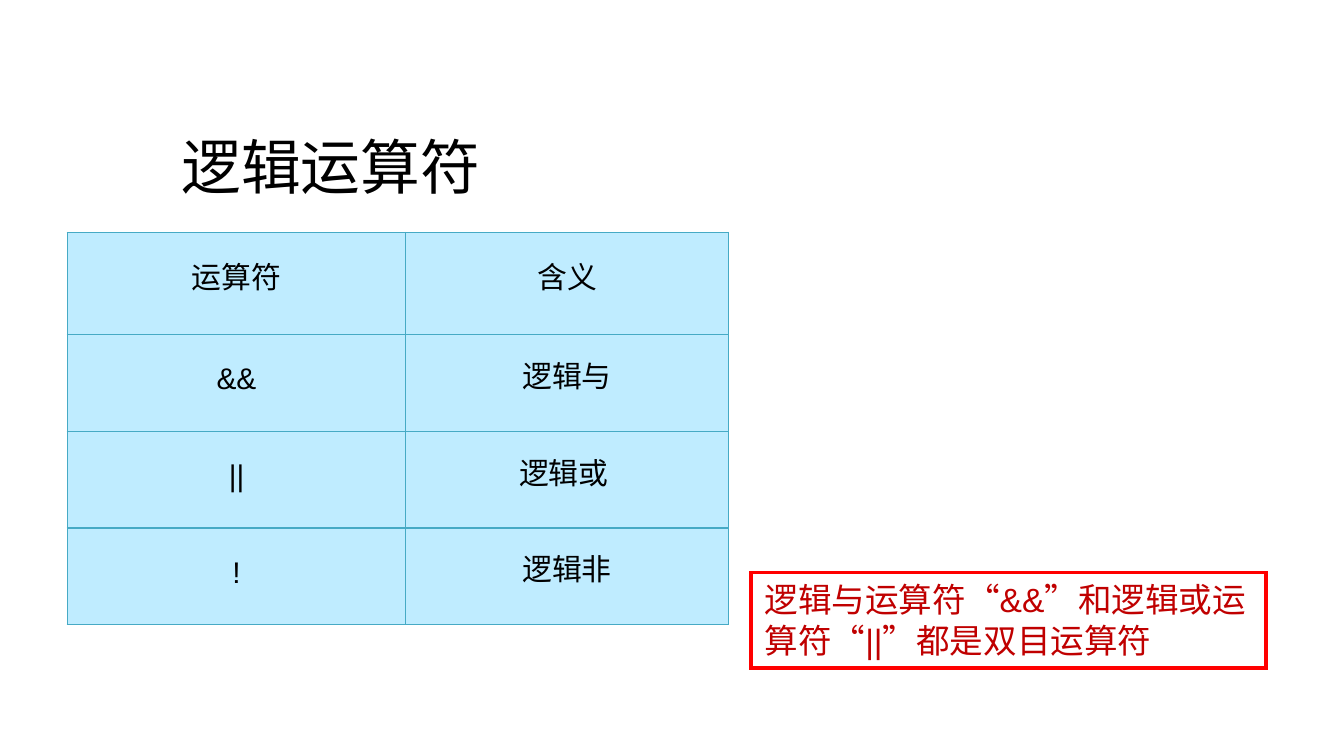
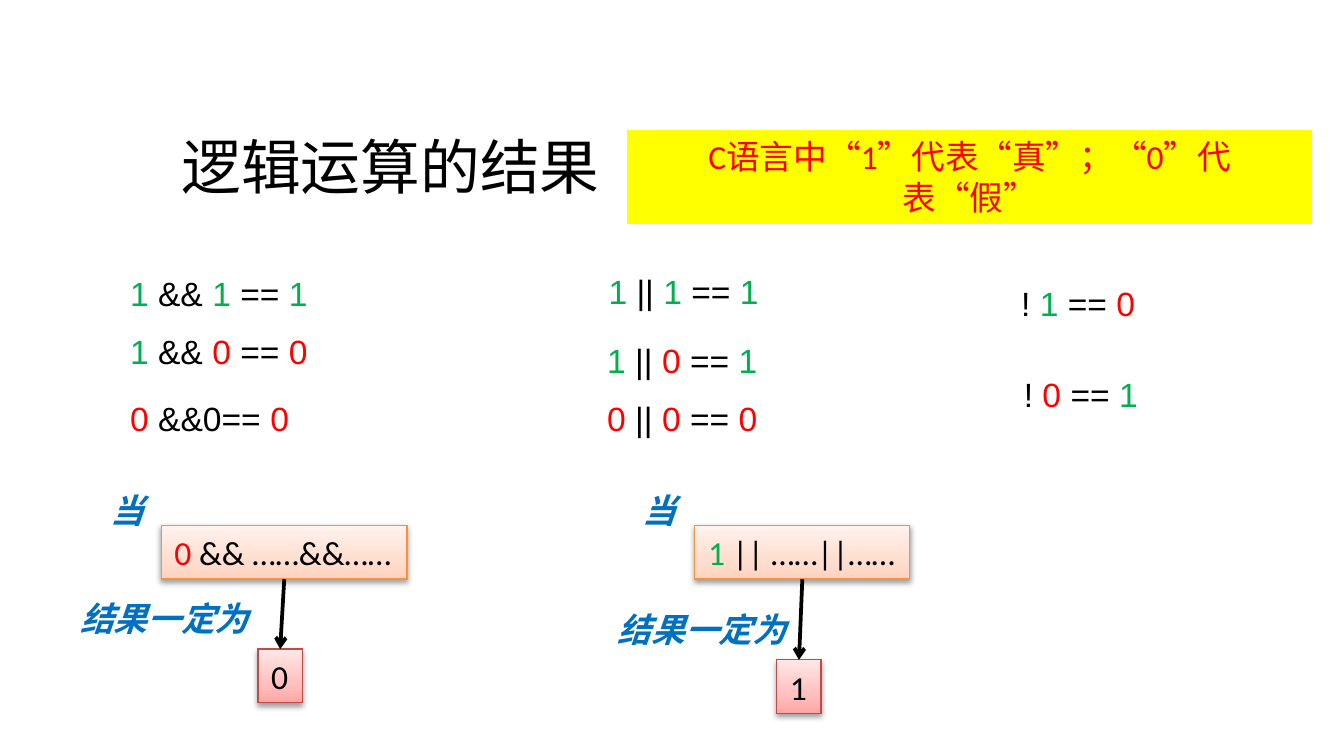
"""Build two slides on logical operators and their results."""
from dataclasses import dataclass

from lxml import etree
from pptx import Presentation
from pptx.dml.color import RGBColor
from pptx.enum.shapes import MSO_CONNECTOR, MSO_SHAPE
from pptx.enum.text import MSO_ANCHOR, MSO_AUTO_SIZE, PP_ALIGN
from pptx.oxml.ns import qn
from pptx.util import Inches, Pt

RECTANGLE, STRAIGHT = MSO_SHAPE.RECTANGLE, MSO_CONNECTOR.STRAIGHT
LEFT, CENTER = PP_ALIGN.LEFT, PP_ALIGN.CENTER
TOP, MIDDLE = MSO_ANCHOR.TOP, MSO_ANCHOR.MIDDLE
FIT_SHAPE, FIT_NONE = MSO_AUTO_SIZE.SHAPE_TO_FIT_TEXT, MSO_AUTO_SIZE.NONE

COLORS = {
    "text": "000000", "true": "00B050", "false": "FF0000", "remark": "C00000",
    "label": "0070C0", "banner": "FFFF00", "cell": "BFECFF", "grid": "46AAC5",
    "premise": "F69240", "result": "BF4C48",
}
GRADIENTS = {
    "premise": ((0, "FFD2BD"), (35, "FFDED0"), (100, "FFF2ED")),
    "result": ((0, "FFA6A5"), (35, "FFC0BF"), (100, "FFE7E7")),
}
LATIN, SANS, CHINESE = "Calibri", "Arial", "Noto Sans CJK SC"
TITLE_ONLY = 5
LINE_HEIGHT = 0.4
PREMISE_TOP = 3.91
WHEN_TOP = 3.6
RESULT_WIDTH = 0.33


@dataclass(frozen=True)
class Span:
    text: str
    color: str = "text"


@dataclass(frozen=True)
class Area:
    left: float
    top: float
    width: float
    height: float = LINE_HEIGHT

    @property
    def lengths(self) -> tuple:
        """Give the four lengths that python-pptx expects."""
        return tuple(Inches(n) for n in (self.left, self.top, self.width, self.height))


@dataclass(frozen=True)
class Expression:
    area: Area
    spans: tuple


@dataclass(frozen=True)
class Deduction:
    premise_left: float
    premise_width: float
    premise: tuple
    when_left: float
    note_left: float
    note_top: float
    result_left: float
    result_top: float
    result: str


ONE, ZERO = Span("1", "true"), Span("0", "false")
AND, OR, EQUALS = Span(" && "), Span(" || "), Span(" == ")

OPERATORS = (
    ("运算符", "含义"), ("&&", "逻辑与"), ("||", "逻辑或 "), ("!", "逻辑非"),
)
EXPRESSIONS = (
    Expression(Area(0.87, 1.98, 1.6), (ONE, AND, ONE, EQUALS, ONE)),
    Expression(Area(0.87, 2.41, 1.53), (ONE, AND, ZERO, EQUALS, ZERO)),
    Expression(Area(0.87, 2.91, 1.39), (ZERO, Span(" &&0== "), ZERO)),
    Expression(Area(4.43, 1.97, 1.4), (ONE, OR, ONE, EQUALS, ONE)),
    Expression(Area(4.42, 2.48, 1.4), (ONE, OR, ZERO, EQUALS, ONE)),
    Expression(Area(4.42, 2.91, 1.4), (ZERO, OR, ZERO, EQUALS, ZERO)),
    Expression(Area(7.5, 2.06, 1.13), (Span("! "), ONE, EQUALS, ZERO)),
    Expression(Area(7.52, 2.73, 1.13), (Span("!"), Span(" 0", "false"), EQUALS, ONE)),
)
DEDUCTIONS = (
    Deduction(1.2, 1.83, (ZERO, Span(" && ……&&……")), 0.72, 0.5, 4.4, 1.92, 4.83, "0"),
    Deduction(5.17, 1.6, (ONE, Span(" || ……||……")), 4.68, 4.5, 4.48, 5.78, 4.91, "1"),
)


def rgb(name: str) -> RGBColor:
    """Look up a named colour."""
    return RGBColor.from_string(COLORS[name])


def add_node(parent, tag: str, **attributes):
    """Append an XML element with the given attributes."""
    return etree.SubElement(parent, qn(tag), attributes)


def add_color(parent, code: str):
    """Append a solid RGB colour element."""
    return add_node(parent, "a:srgbClr", val=code)


def write(frame, spans: tuple, font: str, size: float = 18, align=LEFT):
    """Write coloured spans into the first paragraph of a text frame."""
    para = frame.paragraphs[0]
    para.alignment = align
    para.font.name, para.font.size = font, Pt(size)
    for span in spans:
        run = para.add_run()
        run.text = span.text
        run.font.color.rgb = rgb(span.color)
    return para


def add_line_text(page, area: Area, spans: tuple, font: str):
    """Add a one-line text box that fits its text."""
    box = page.shapes.add_textbox(*area.lengths)
    box.text_frame.word_wrap = False
    box.text_frame.auto_size = FIT_SHAPE
    return write(box.text_frame, spans, font)


def add_label(page, area: Area, text: str) -> None:
    """Add a bold italic Chinese label."""
    para = add_line_text(page, area, (Span(text, "label"),), CHINESE)
    para.font.bold = para.font.italic = True
    for run in para.runs:
        add_node(run.font._element, "a:ea", typeface=CHINESE)


def add_box(page, area: Area, line: str, weight: float):
    """Add an unfilled, unshadowed rectangle with a sharp outline."""
    box = page.shapes.add_shape(RECTANGLE, *area.lengths)
    box.shadow.inherit = False
    box.fill.background()
    box.line.color.rgb = rgb(line)
    box.line.width = Pt(weight)
    add_node(box.line._get_or_add_ln(), "a:miter", lim="800000")
    box.text_frame.word_wrap = True
    box.text_frame.vertical_anchor = TOP
    return box


def add_soft_box(page, area: Area, style: str, spans: tuple) -> None:
    """Add a gradient rectangle with a soft shadow below it."""
    box = add_box(page, area, style, 0.75)
    box.fill.gradient()
    box.fill.gradient_angle = 90
    properties = box._element.spPr
    stops = properties.find(".//" + qn("a:gsLst"))
    for stop in list(stops):
        stops.remove(stop)
    for percent, code in GRADIENTS[style]:
        add_color(add_node(stops, "a:gs", pos=str(percent * 1000)), code)
    shadow = add_node(properties.find(qn("a:effectLst")), "a:outerShdw",
                      blurRad=str(Pt(3.1)), dist=str(Pt(1.6)), dir="5400000",
                      rotWithShape="0")
    add_node(add_color(shadow, COLORS["text"]), "a:alpha", val="38000")
    box.text_frame.word_wrap = False
    box.text_frame.auto_size = FIT_SHAPE
    write(box.text_frame, spans, LATIN)


def add_arrow(page, start: tuple, end: tuple) -> None:
    """Add a black arrow between two points."""
    arrow = page.shapes.add_connector(STRAIGHT, *(Inches(n) for n in start + end))
    arrow.line.color.rgb = rgb("text")
    arrow.line.width = Pt(2)
    add_node(arrow.line._get_or_add_ln(), "a:tailEnd", type="arrow")
    add_node(arrow._element.spPr, "a:effectLst")


def add_page(deck, title: str, width: float):
    """Add a slide with the shared title style."""
    page = deck.slides.add_slide(deck.slide_layouts[TITLE_ONLY])
    holder = page.shapes.title
    holder.left, holder.top, holder.width, holder.height = Area(1.25, 0.9, width, 0.67).lengths
    frame = holder.text_frame
    frame.vertical_anchor = MIDDLE
    frame.auto_size = FIT_NONE
    frame.margin_top = frame.margin_bottom = Inches(0.03)
    write(frame, (Span(title),), LATIN, 32)
    return page


def format_cell(cell, text: str) -> None:
    """Fill, outline and write one table cell."""
    cell.margin_left = cell.margin_right = Inches(0.07)
    cell.margin_top = cell.margin_bottom = 0
    cell.vertical_anchor = MIDDLE
    properties = cell._tc.get_or_add_tcPr()
    for side in ("a:lnL", "a:lnR", "a:lnT", "a:lnB"):
        edge = add_node(properties, side, w=str(Pt(0.75)))
        add_color(add_node(edge, "a:solidFill"), COLORS["grid"])
    cell.fill.solid()
    cell.fill.fore_color.rgb = rgb("cell")
    para = write(cell.text_frame, (Span(text),), SANS, 16, CENTER)
    para.line_spacing = Pt(14)


def add_operator_table(page) -> None:
    """Add the table of operators and meanings."""
    area = Area(0.5, 1.73, 4.92, 2.92)
    table = page.shapes.add_table(len(OPERATORS), 2, *area.lengths).table
    table.first_row = table.horz_banding = False
    for column, width in zip(table.columns, (2.52, 2.4)):
        column.width = Inches(width)
    for index, texts in enumerate(OPERATORS):
        table.rows[index].height = Inches(0.72 if index else 0.76)
        for cell, text in zip(table.rows[index].cells, texts):
            format_cell(cell, text)


def add_deduction(page, item: Deduction) -> None:
    """Draw a premise with an arrow to its certain result."""
    premise = Area(item.premise_left, PREMISE_TOP, item.premise_width)
    result = Area(item.result_left, item.result_top, RESULT_WIDTH)
    add_soft_box(page, premise, "premise", item.premise)
    add_label(page, Area(item.when_left, WHEN_TOP, 0.45), "当")
    add_soft_box(page, result, "result", (Span(item.result),))
    add_arrow(page, (premise.left + premise.width / 2, premise.top + premise.height),
              (result.left + result.width / 2, result.top))
    add_label(page, Area(item.note_left, item.note_top, 1.46), "结果一定为")


def build_operators(deck) -> None:
    """Build the slide that lists the operators."""
    page = add_page(deck, "逻辑运算符", 6.08)
    add_operator_table(page)
    remark = add_box(page, Area(5.59, 4.26, 3.83, 0.71), "false", 2)
    remark.text_frame.auto_size = FIT_SHAPE
    text = "逻辑与运算符“&&”和逻辑或运算符“||”都是双目运算符"
    write(remark.text_frame, (Span(text, "remark"),), SANS)


def build_results(deck) -> None:
    """Build the slide that shows the results of the operators."""
    page = add_page(deck, "逻辑运算的结果", 3.43)
    for item in EXPRESSIONS:
        add_line_text(page, item.area, item.spans, SANS)
    for item in DEDUCTIONS:
        add_deduction(page, item)
    banner = add_box(page, Area(4.68, 0.98, 5.07, 0.67), "banner", 2)
    banner.fill.solid()
    banner.fill.fore_color.rgb = rgb("banner")
    banner.text_frame.vertical_anchor = MIDDLE
    text = "C语言中“1”代表“真”；“0”代表“假”"
    write(banner.text_frame, (Span(text, "false"),), LATIN, align=CENTER)


def main() -> None:
    """Build and save the deck."""
    deck = Presentation()
    deck.slide_width = Inches(10)
    deck.slide_height = deck.slide_width * 9 // 16
    build_operators(deck)
    build_results(deck)
    deck.save("out.pptx")


if __name__ == "__main__":
    main()
